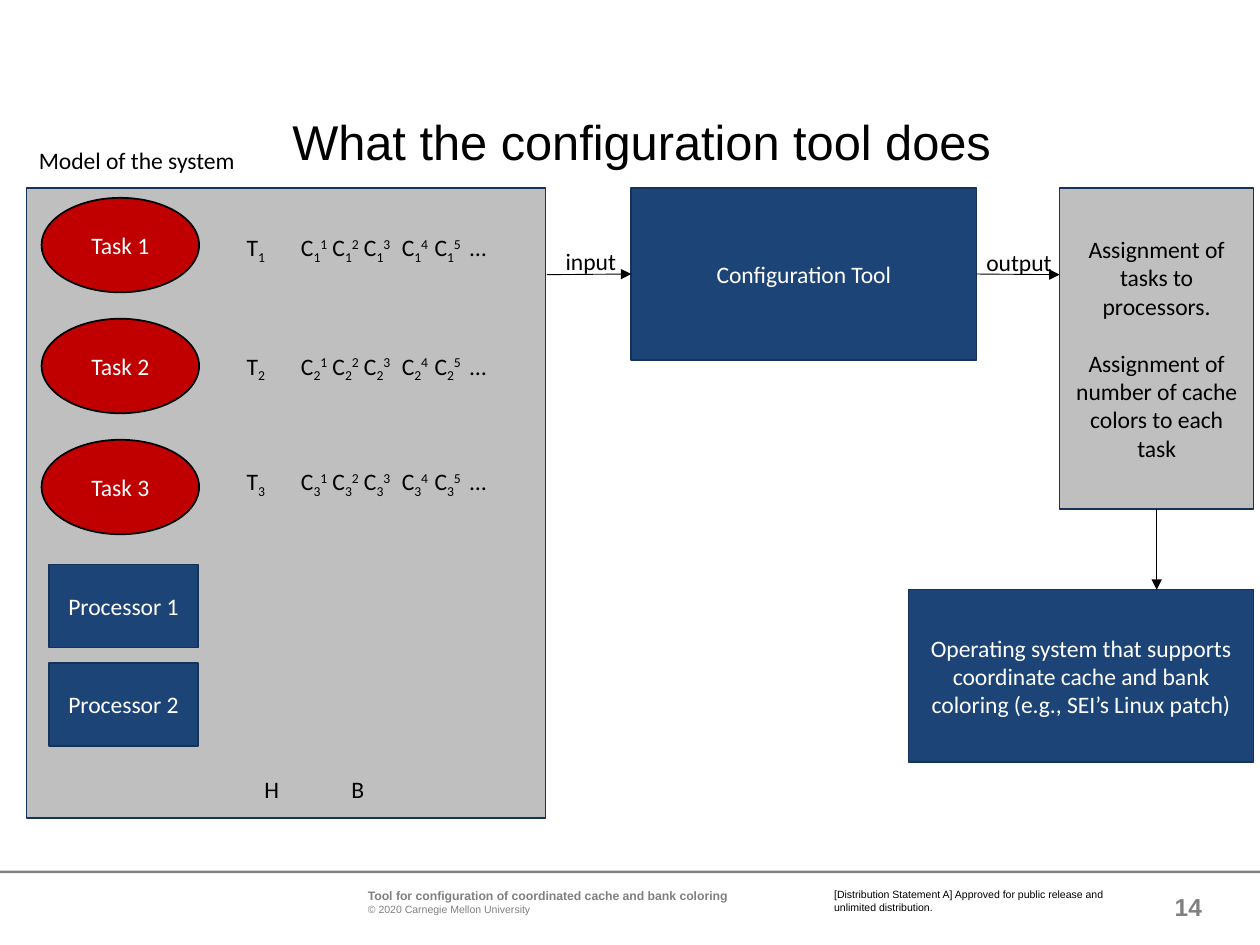
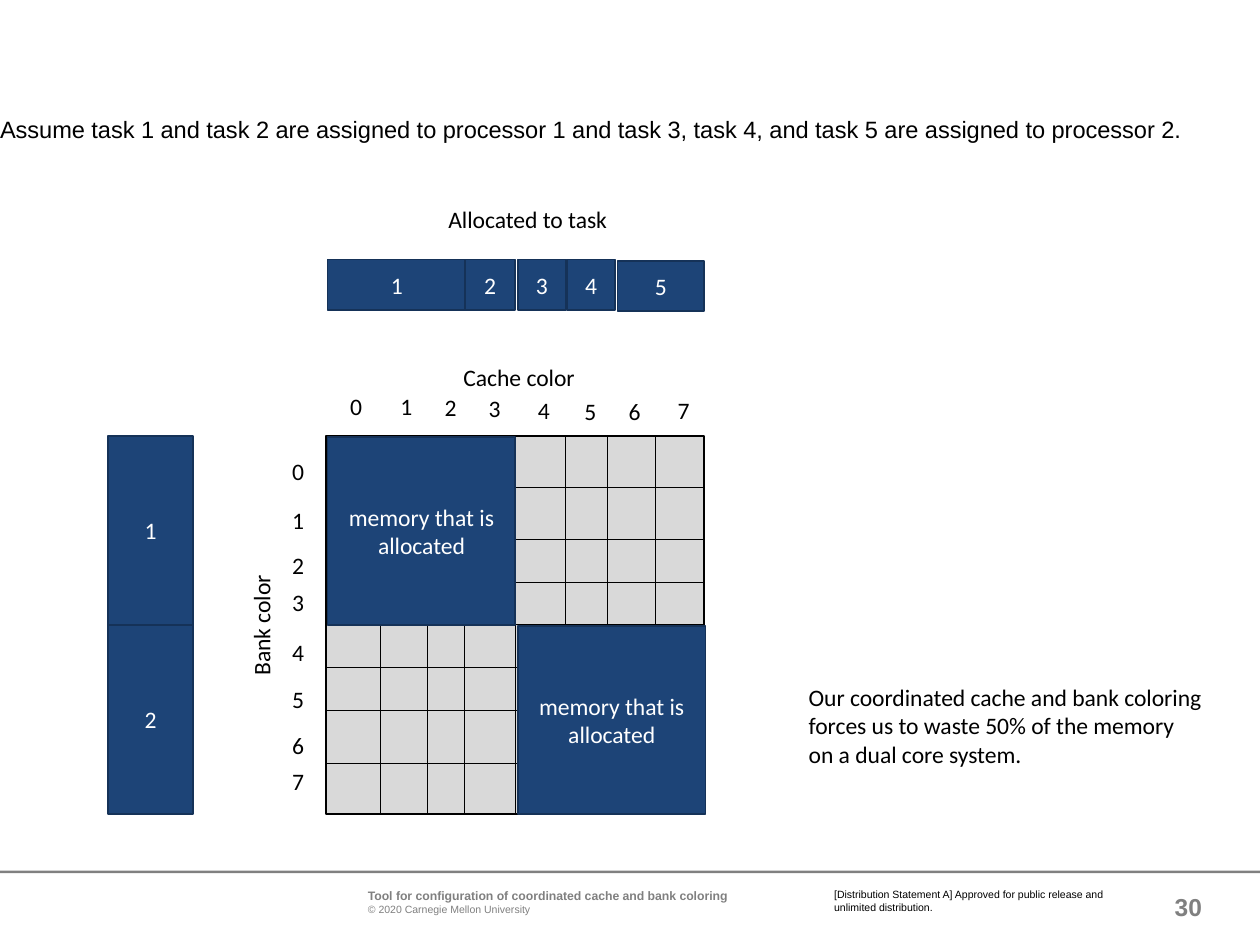
from dataclasses import dataclass
from typing import Any, NamedTuple, Optional

import pptx
import pptx.dml.color
import pptx.enum.shapes
import pptx.enum.text
import pptx.oxml
import pptx.oxml.ns
import pptx.util

Inches = pptx.util.Inches
Pt = pptx.util.Pt
RGBColor = pptx.dml.color.RGBColor
Preset = pptx.enum.shapes.MSO_SHAPE
Align = pptx.enum.text.PP_ALIGN
Anchor = pptx.enum.text.MSO_ANCHOR
AutoSize = pptx.enum.text.MSO_AUTO_SIZE
qn = pptx.oxml.ns.qn

BLACK = RGBColor(0x00, 0x00, 0x00)
WHITE = RGBColor(0xFF, 0xFF, 0xFF)
GRAY = RGBColor(0x80, 0x80, 0x80)
PANEL = RGBColor(0xBF, 0xBF, 0xBF)
GRID_FILL = RGBColor(0xD9, 0xD9, 0xD9)
NAVY = RGBColor(0x1D, 0x44, 0x77)
NAVY_EDGE = RGBColor(0x15, 0x32, 0x58)
RED = RGBColor(0xC0, 0x00, 0x00)

BODY = {"name": "Calibri", "size": Pt(13.5)}
FOOTER = {"name": "Arial", "size": Pt(6)}
FOOTER_TITLE = {"name": "Arial", "size": Pt(7), "bold": True}
PAGE_NUMBER = {"name": "Arial", "size": Pt(14), "bold": True}
NO_MARGINS = {"margin_left": 0, "margin_top": 0, "margin_right": 0, "margin_bottom": 0}

SUBSCRIPT, SUPERSCRIPT = -25, 30
COST_TABS = (0.25, 0.5, 0.8, 1.06, 1.34)


class Area(NamedTuple):
    left: float
    top: float
    width: float
    height: float

    def lengths(self) -> list:
        return [Inches(value) for value in self]


class Span(NamedTuple):
    text: str
    baseline: int = 0


@dataclass(frozen=True)
class Block:
    area: Area
    lines: tuple[str, ...] = ()
    fill: RGBColor = NAVY
    edge: Optional[RGBColor] = NAVY_EDGE
    color: RGBColor = WHITE
    preset: Any = Preset.RECTANGLE
    gap: float = 0


@dataclass(frozen=True)
class Label:
    area: Area
    lines: tuple[str, ...]
    wrap: bool = False
    rotation: int = 0


def apply(target: Any, values: dict) -> None:
    for name, value in values.items():
        setattr(target, name, value)


def add_spans(para: Any, spans: list[Span], style: dict, color: RGBColor) -> None:
    for span in spans:
        run = para.add_run()
        run.text = span.text
        apply(run.font, style)
        run.font.color.rgb = color
        if span.baseline:
            run._r.get_or_add_rPr().set("baseline", str(span.baseline * 1000))


def add_lines(frame: Any, lines: tuple[str, ...], style: dict, color: RGBColor,
              align: Any = Align.LEFT, gap: float = 0) -> None:
    for index, line in enumerate(lines):
        para = frame.add_paragraph() if index else frame.paragraphs[0]
        para.alignment = align
        if index and gap:
            para.space_before = Pt(gap)
        add_spans(para, [Span(line)], style, color)


def add_block(page: Any, block: Block) -> Any:
    box = page.shapes.add_shape(block.preset, *block.area.lengths())
    box.shadow.inherit = False
    box.fill.solid()
    box.fill.fore_color.rgb = block.fill
    if block.edge is None:
        box.line.fill.background()
    else:
        box.line.color.rgb = block.edge
        box.line.width = Pt(1)
    if block.lines:
        apply(box.text_frame, {"word_wrap": True, "vertical_anchor": Anchor.MIDDLE})
        add_lines(box.text_frame, block.lines, BODY, block.color, Align.CENTER, block.gap)
    return box


def add_frame(page: Any, area: Area, values: dict, rotation: int = 0) -> Any:
    box = page.shapes.add_textbox(*area.lengths())
    box.rotation = rotation
    apply(box.text_frame, values)
    return box.text_frame


def add_label(page: Any, label: Label) -> None:
    values = {"word_wrap": label.wrap, "auto_size": AutoSize.SHAPE_TO_FIT_TEXT}
    frame = add_frame(page, label.area, values, label.rotation)
    add_lines(frame, label.lines, BODY, BLACK)


def add_line(page: Any, start: tuple[float, float], end: tuple[float, float],
             arrow: bool = False) -> Any:
    line = page.shapes.add_connector(pptx.enum.shapes.MSO_CONNECTOR.STRAIGHT,
                                     *[Inches(value) for value in (*start, *end)])
    line.line.color.rgb = BLACK
    line.line.width = Pt(0.5)
    properties = line._element.spPr
    if arrow:
        tail = pptx.oxml.ns.nsdecls("a")
        properties.find(qn("a:ln")).append(
            pptx.oxml.parse_xml(f'<a:tailEnd {tail} type="triangle"/>'))
    properties.append(properties.makeelement(qn("a:effectLst"), {}))
    return line


def add_page(deck: Any, title: str, area: Area, size: float, number: int) -> Any:
    page = deck.slides.add_slide(deck.slide_layouts[5])
    heading = page.shapes.title
    apply(heading, dict(zip(("left", "top", "width", "height"), area.lengths())))
    apply(heading.text_frame, {**NO_MARGINS, "word_wrap": True, "auto_size": AutoSize.NONE,
                               "vertical_anchor": Anchor.TOP})
    add_lines(heading.text_frame, (title,), {"name": "Arial", "size": Pt(size)}, BLACK)
    heading.text_frame.paragraphs[0].line_spacing = 0.9

    add_block(page, Block(Area(0, 6.91, 10, 0.02), fill=GRAY, edge=None))
    wrapped = {**NO_MARGINS, "word_wrap": True}
    frame = add_frame(page, Area(2.92, 7.05, 3.54, 0.22), wrapped)
    add_lines(frame, ("Tool for configuration of coordinated cache and bank coloring",),
              FOOTER_TITLE, GRAY)
    add_spans(frame.add_paragraph(), [Span("© 2020 Carnegie Mellon University")], FOOTER, GRAY)
    frame = add_frame(page, Area(6.62, 7.05, 2.29, 0.2), wrapped)
    add_lines(frame, ("[Distribution Statement A] Approved for public release and "
                      "unlimited distribution.",), FOOTER, BLACK)
    frame = add_frame(page, Area(9.1, 7, 0.44, 0.4),
                      {**wrapped, "vertical_anchor": Anchor.MIDDLE})
    add_lines(frame, (str(number),), PAGE_NUMBER, GRAY, Align.RIGHT)
    return page


def add_task_costs(page: Any, task: int, top: float) -> None:
    index = Span(str(task), SUBSCRIPT)
    period = add_frame(page, Area(1.86, top, 0.36, 0.33), {"word_wrap": False})
    add_spans(period.paragraphs[0], [Span("T"), index], BODY, BLACK)

    costs = add_frame(page, Area(2.29, top, 1.91, 0.33), {"word_wrap": True})
    para = costs.paragraphs[0]
    properties = para._p.get_or_add_pPr()
    stops = properties.makeelement(qn("a:tabLst"), {})
    properties.append(stops)
    for position in COST_TABS:
        stops.append(stops.makeelement(
            qn("a:tab"), {"pos": str(Inches(position)), "algn": "l"}))
    spans = []
    for color_count in range(1, 6):
        spans += [Span("C"), index, Span(str(color_count), SUPERSCRIPT), Span("\t")]
    add_spans(para, spans + [Span("…")], BODY, BLACK)


def build_tool_page(deck: Any) -> None:
    page = add_page(deck, "What the configuration tool does",
                    Area(2.32, 0.94, 6.05, 0.56), 27.9, 14)
    add_block(page, Block(Area(0.21, 1.49, 4.12, 5), fill=PANEL))
    for task, cost_top in enumerate((1.8, 2.74, 3.66), 1):
        area = Area(0.33, 1.57 + 0.96 * (task - 1), 1.25, 0.75)
        add_block(page, Block(area, (f"Task {task}",), RED, BLACK, preset=Preset.OVAL))
        add_task_costs(page, task, cost_top)
    for processor in (1, 2):
        area = Area(0.39, 4.48 + 0.78 * (processor - 1), 1.18, 0.66)
        add_block(page, Block(area, (f"Processor {processor}",)))

    tool = add_block(page, Block(Area(5.01, 1.49, 2.74, 1.37), ("Configuration Tool",)))
    assignment = add_block(page, Block(
        Area(8.41, 1.49, 1.54, 2.55),
        ("Assignment of tasks to processors.",
         "Assignment of number of cache colors to each task"),
        PANEL, color=BLACK, gap=16.5))
    add_block(page, Block(
        Area(7.21, 4.68, 2.74, 1.37),
        ("Operating system that supports coordinate cache and bank coloring "
         "(e.g., SEI’s Linux patch)",)))

    add_line(page, (4.34, 2.18), (5.01, 2.18), True).end_connect(tool, 1)
    add_line(page, (7.75, 2.18), (8.41, 2.18), True).begin_connect(tool, 3)
    add_line(page, (9.18, 4.04), (9.18, 4.68), True).begin_connect(assignment, 2)

    for label in (
        Label(Area(0.21, 1.11, 1.78, 0.33), ("Model of the system",)),
        Label(Area(2, 6.1, 0.32, 0.33), ("H",)),
        Label(Area(2.69, 6.1, 0.31, 0.33), ("B",)),
        Label(Area(4.39, 1.91, 0.61, 0.33), ("input",)),
        Label(Area(7.73, 1.92, 0.73, 0.33), ("output",)),
    ):
        add_label(page, label)


def build_memory_page(deck: Any) -> None:
    page = add_page(deck, "Assume task 1 and task 2 are assigned to processor 1 and task 3, "
                    "task 4, and task 5 are assigned to processor 2.",
                    Area(0, 0.94, 10, 0.32), 13.5, 30)
    left, top, side = 2.59, 3.46, 3
    add_block(page, Block(Area(left, top, side, side), fill=GRID_FILL, edge=BLACK))
    for x in (3.02, 3.39, 3.69, 4.09, 4.49, 4.82, 5.2):
        add_line(page, (x, top), (x, top + side))
    for y in (3.87, 4.28, 4.62, 4.96, 5.3, 5.64, 6.06):
        add_line(page, (left + side, y), (left, y))

    cache_places = ((2.68, 3.06), (3.08, 3.06), (3.43, 3.07), (3.78, 3.08),
                    (4.17, 3.09), (4.54, 3.1), (4.89, 3.1), (5.28, 3.09))
    bank_places = [(2.22, y) for y in (3.58, 3.97, 4.32, 4.62, 5.01, 5.39, 5.75, 6.04)]
    for places in (cache_places, bank_places):
        for color_index, (x, y) in enumerate(places):
            add_label(page, Label(Area(x, y, 0.3, 0.33), (str(color_index),)))

    for processor in (1, 2):
        area = Area(0.86, top + 1.5 * (processor - 1), 0.67, 1.5)
        add_block(page, Block(area, (str(processor),)))
    task_bars = ((2.6, 2.06, 1.1), (3.69, 2.06, 0.4), (4.11, 2.06, 0.38),
                 (4.5, 2.06, 0.38), (4.9, 2.07, 0.69))
    for task, (x, y, width) in enumerate(task_bars, 1):
        add_block(page, Block(Area(x, y, width, 0.4), (str(task),)))
    for x, y in ((4.11, 4.97), (2.6, 3.47)):
        add_block(page, Block(Area(x, y, 1.49, 1.49), ("memory that is allocated",)))

    for label in (
        Label(Area(3.58, 2.83, 1.1, 0.33), ("Cache color",)),
        Label(Area(1.57, 4.79, 1.01, 0.33), ("Bank color",), rotation=270),
        Label(Area(3.46, 1.58, 1.56, 0.33), ("Allocated to task",), wrap=True),
        Label(Area(6.32, 5.37, 3.37, 0.78),
              ("Our coordinated cache and bank coloring",
               "forces us to waste 50% of the memory",
               "on a dual core system.")),
    ):
        add_label(page, label)


def main() -> None:
    deck = pptx.Presentation()
    deck.slide_width = Inches(10)
    deck.slide_height = Inches(7.5)
    build_tool_page(deck)
    build_memory_page(deck)
    deck.save("out.pptx")


if __name__ == "__main__":
    main()
